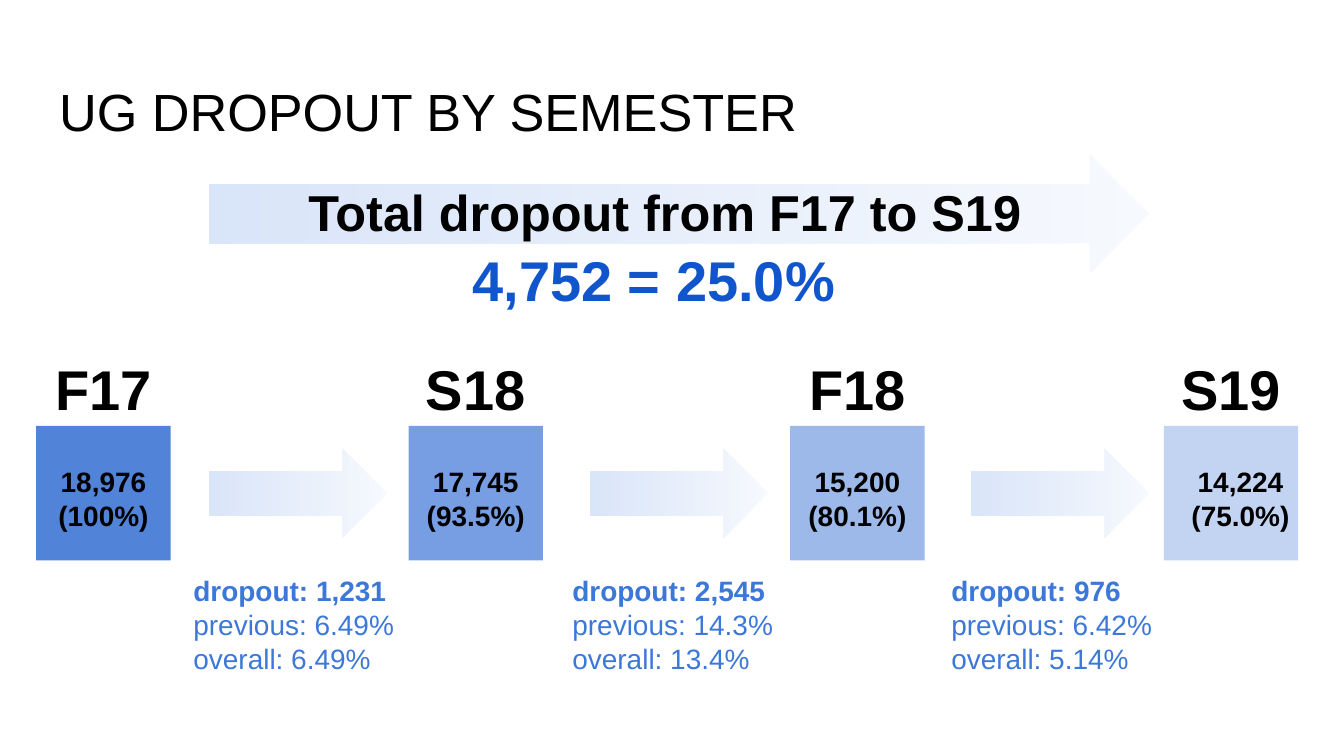
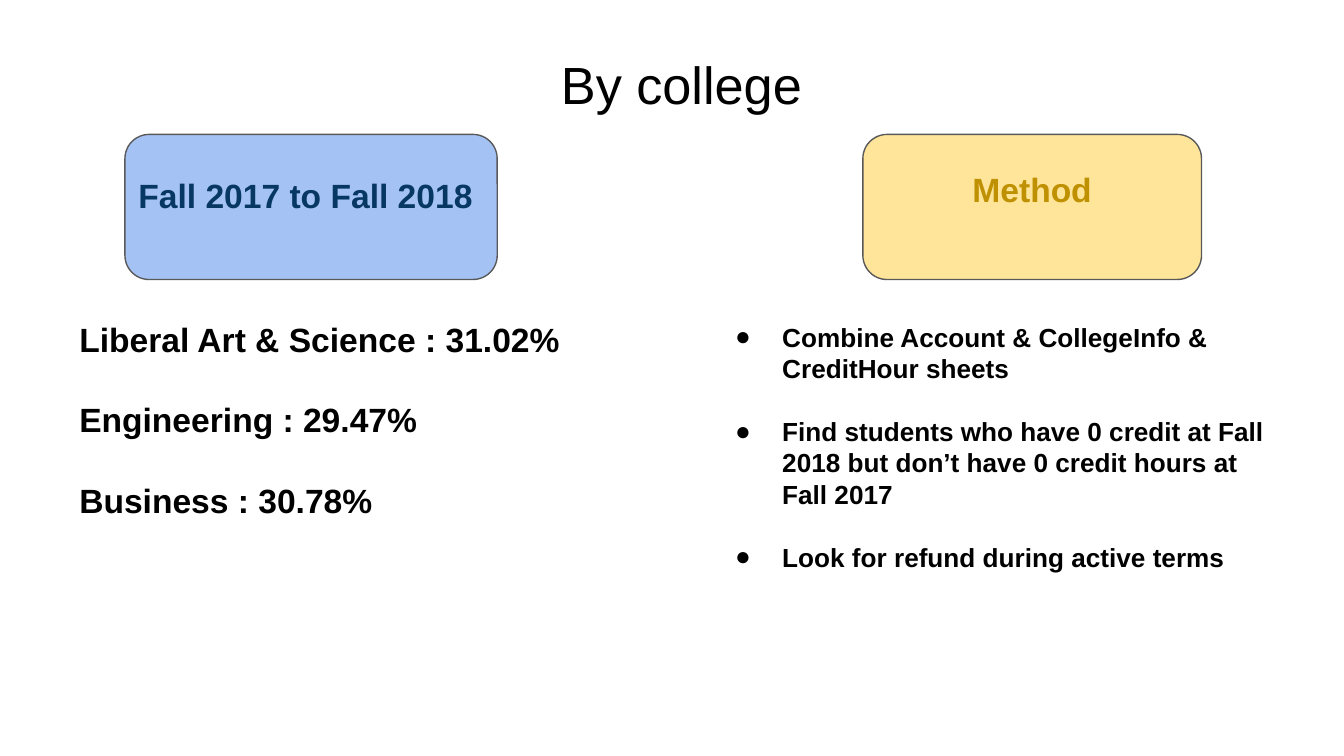
from lxml import etree
from pptx import Presentation
from pptx.dml.color import RGBColor
from pptx.enum import shapes, text
from pptx.oxml import ns
from pptx.util import Inches, Pt

FONT = "Arial"
BLACK = RGBColor(0x00, 0x00, 0x00)
BLUE = RGBColor(0x11, 0x55, 0xCC)
NOTE_BLUE = RGBColor(0x3C, 0x78, 0xD8)
ARROW_PALE = RGBColor(0xDF, 0xE9, 0xFB)
ARROW_DEEP = RGBColor(0x6E, 0x9B, 0xE7)
CARD_BLUE = RGBColor(0xA4, 0xC2, 0xF4)
CARD_YELLOW = RGBColor(0xFF, 0xE5, 0x99)
NAVY = RGBColor(0x07, 0x37, 0x63)
GOLD = RGBColor(0xBF, 0x90, 0x00)
OUTLINE = RGBColor(0x59, 0x59, 0x59)

LEFT, CENTER = text.PP_ALIGN.LEFT, text.PP_ALIGN.CENTER
TITLE_ONLY, COMPARISON = 5, 4

# Semester: name, left, students, share, opacity, shift of the figures
SEMESTERS = [
    ("F17", 0.27, "18,976", "(100%)", 73, 0),
    ("S18", 3.04, "17,745", "(93.5%)", 57, 0),
    ("F18", 5.88, "15,200", "(80.1%)", 41, 0),
    ("S19", 8.66, "14,224", "(75.0%)", 25, 0.07),
]
DROPOUTS = [
    ("1,231", "6.49%", "6.49%"),
    ("2,545", "14.3%", "13.4%"),
    ("976", "6.42%", "5.14%"),
]
ARROW_STEP = 5.67 / 2
NOTE_STEP = 2.82
COLLEGES = [
    "Liberal Art & Science : 31.02%",
    "Engineering : 29.47%",
    "Business : 30.78%",
]
METHOD = [
    "Combine Account & CollegeInfo & CreditHour sheets",
    "Find students who have 0 credit at Fall 2018 but don’t have 0 credit hours at Fall 2017",
    "Look for refund during active terms",
]


# Shared helpers
def place(shape, box):
    shape.left, shape.top, shape.width, shape.height = map(Inches, box)


def set_bullet(paragraph, bulleted):
    properties = paragraph._p.get_or_add_pPr()
    properties.set("marL", str(Inches(0.5 if bulleted else 0)))
    properties.set("indent", str(Inches(-0.35 if bulleted else 0)))
    if bulleted:
        color = etree.SubElement(properties, ns.qn("a:buClr"))
        etree.SubElement(color, ns.qn("a:srgbClr"), val=str(BLACK))
        etree.SubElement(properties, ns.qn("a:buChar"), char="●")
    else:
        etree.SubElement(properties, ns.qn("a:buNone"))


def write(shape, lines, size, color=BLACK, bold=True, align=LEFT,
          gap=0, after=0, spacing=1.0, bulleted=False, bold_lines=None):
    """Fill a shape with one paragraph per line; bold_lines limits bold to the first lines."""
    frame = shape.text_frame
    frame.word_wrap = True
    frame.auto_size = text.MSO_AUTO_SIZE.NONE
    frame.vertical_anchor = text.MSO_ANCHOR.TOP
    frame.margin_left = frame.margin_right = Inches(0.1)
    frame.margin_top = frame.margin_bottom = Inches(0.1)
    for index, line in enumerate(lines):
        paragraph = frame.add_paragraph() if index else frame.paragraphs[0]
        paragraph.alignment = align
        paragraph.line_spacing = spacing
        paragraph.space_before = Pt(gap if index else 0)
        paragraph.space_after = Pt(after)
        set_bullet(paragraph, bulleted)
        run = paragraph.add_run()
        run.text = line
        run.font.name = FONT
        run.font.size = Pt(size)
        run.font.bold = bold and (bold_lines is None or index < bold_lines)
        run.font.color.rgb = color


def add_text(slide, box, lines, size, **style):
    write(slide.shapes.add_textbox(*map(Inches, box)), lines, size, **style)


def add_title(slide, box, title, align=LEFT):
    place(slide.shapes.title, box)
    write(slide.shapes.title, [title], 28, bold=False, align=align)


def add_plain_shape(slide, kind, box):
    shape = slide.shapes.add_shape(kind, *map(Inches, box))
    shape.shadow.inherit = False
    shape.line.fill.background()
    return shape


def set_opacity(shape, percent):
    for color in shape.element.spPr.iter(ns.qn("a:srgbClr")):
        etree.SubElement(color, ns.qn("a:alpha"), val=str(percent * 1000))


def add_arrow(slide, box):
    arrow = add_plain_shape(slide, shapes.MSO_SHAPE.RIGHT_ARROW, box)
    arrow.fill.gradient()
    arrow.fill.gradient_angle = 180
    for stop, color, position in zip(arrow.fill.gradient_stops,
                                     (ARROW_PALE, ARROW_DEEP), (0, 1)):
        stop.color.rgb = color
        stop.position = position
    set_opacity(arrow, 25)


# Dropout slide regions
def add_semester(slide, left, top, name, students, share, opacity, shift):
    add_text(slide, (left, top, 1, 0.63), [name], 30, align=CENTER)
    square = add_plain_shape(slide, shapes.MSO_SHAPE.RECTANGLE,
                             (left, top + 0.63, 1, 1))
    square.fill.solid()
    square.fill.fore_color.rgb = BLUE
    set_opacity(square, opacity)
    add_text(slide, (left + shift, top + 0.82, 1, 0.63), [students, share],
             15, align=CENTER)


def add_total(slide, left, top):
    add_arrow(slide, (left, top, 6.99, 0.88))
    add_text(slide, (left + 0.24, top + 0.1, 6.4, 0.72),
             ["Total dropout from F17 to S19 "], 27, align=CENTER)
    add_text(slide, (left + 0.75, top + 0.58, 5.11, 0.63),
             ["4,752 = 25.0%"], 30, color=BLUE, align=CENTER)


def build_dropout_slide(presentation):
    slide = presentation.slides.add_slide(presentation.slide_layouts[TITLE_ONLY])
    add_title(slide, (0.34, 0.49, 9.32, 0.63), "UG DROPOUT BY SEMESTER")
    add_total(slide, 1.56, 1.15)
    for name, left, students, share, opacity, shift in SEMESTERS:
        add_semester(slide, left, 2.54, name, students, share, opacity, shift)
    for index, (count, previous, overall) in enumerate(DROPOUTS):
        add_arrow(slide, (1.56 + ARROW_STEP * index, 3.34, 1.32, 0.66))
        add_text(slide, (1.34 + NOTE_STEP * index, 4.17, 2.22, 0.93),
                 [f"dropout: {count}", f"previous: {previous}", f"overall: {overall}"],
                 15, color=NOTE_BLUE, bold_lines=1)


# College slide regions
def add_card(slide, box, color):
    card = add_plain_shape(slide, shapes.MSO_SHAPE.ROUNDED_RECTANGLE, box)
    card.fill.solid()
    card.fill.fore_color.rgb = color
    card.line.color.rgb = OUTLINE
    card.line.width = Pt(0.75)
    # Cards lie behind the placeholders
    slide.shapes.element.insert(2, card.element)


def fill_placeholder(slide, index, box, lines, size, **style):
    place(slide.placeholders[index], box)
    write(slide.placeholders[index], lines, size, **style)


def build_college_slide(presentation):
    slide = presentation.slides.add_slide(presentation.slide_layouts[COMPARISON])
    add_title(slide, (0.41, 0.29, 9.32, 0.63), "By college", CENTER)
    # Results
    add_card(slide, (0.93, 1, 2.77, 1.08), CARD_BLUE)
    fill_placeholder(slide, 1, (0.93, 1.16, 2.77, 0.76),
                     ["Fall 2017 to Fall 2018"], 18, color=NAVY,
                     spacing=1.15, after=16)
    fill_placeholder(slide, 2, (0.49, 2.27, 3.89, 3.25), COLLEGES, 18, gap=21.6)
    # Method
    add_card(slide, (6.42, 1, 2.52, 1.08), CARD_YELLOW)
    fill_placeholder(slide, 3, (6.67, 1.16, 2.02, 0.56), ["Method"], 18,
                     color=GOLD, align=CENTER)
    fill_placeholder(slide, 4, (5.22, 2.29, 4.37, 3.01), METHOD, 14,
                     gap=16.8, bulleted=True)


def main():
    presentation = Presentation()
    # Widescreen, 16:9
    presentation.slide_width = Inches(10)
    presentation.slide_height = Inches(10 * 9 / 16)
    build_dropout_slide(presentation)
    build_college_slide(presentation)
    presentation.save("out.pptx")


if __name__ == "__main__":
    main()
